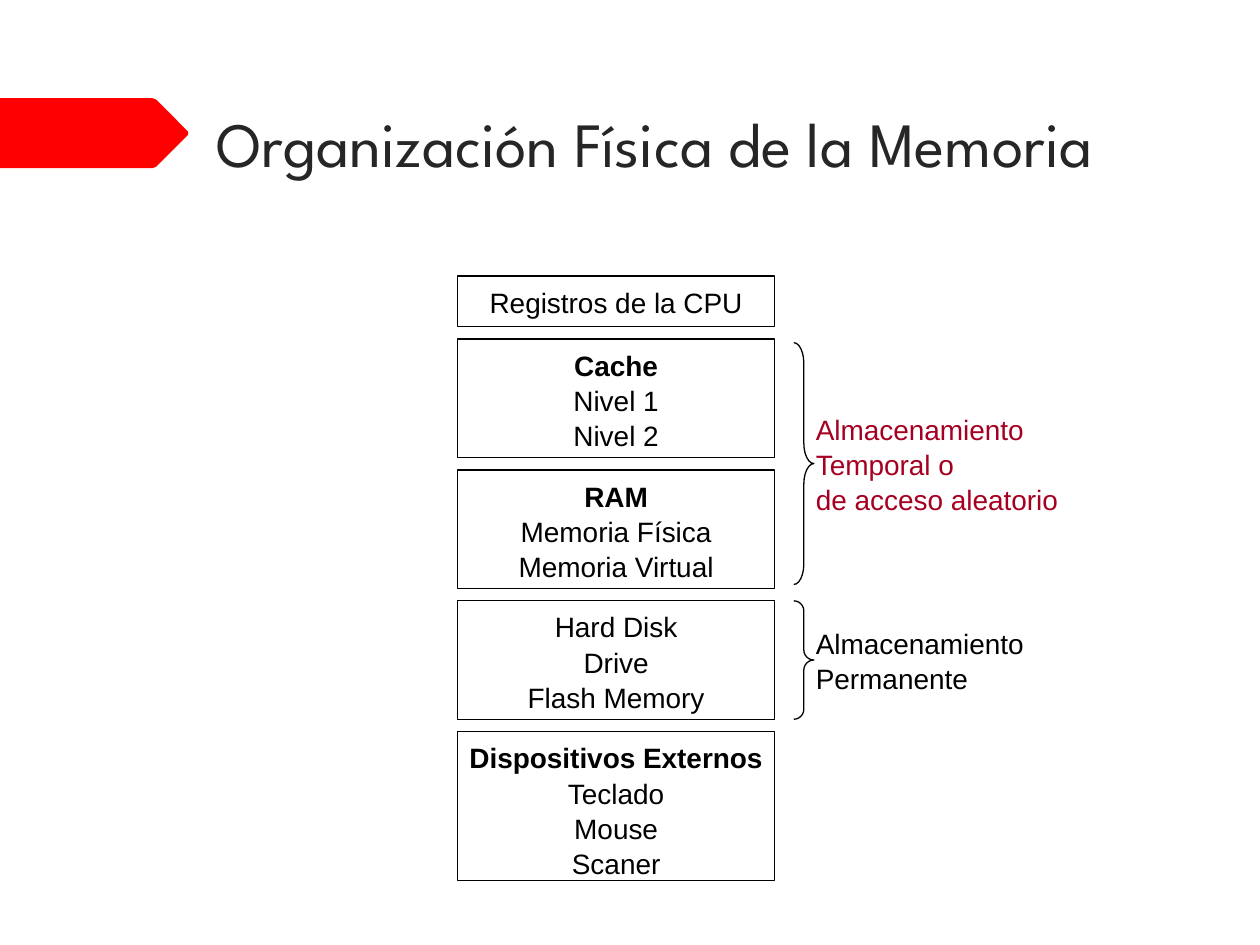
from pptx import Presentation
from pptx.dml.color import RGBColor
from pptx.enum.shapes import MSO_SHAPE
from pptx.enum.text import MSO_ANCHOR, PP_ALIGN
from pptx.util import Inches, Pt

RECTANGLE, BRACE = MSO_SHAPE.RECTANGLE, MSO_SHAPE.RIGHT_BRACE
TOP, MIDDLE = MSO_ANCHOR.TOP, MSO_ANCHOR.MIDDLE
LEFT, CENTER = PP_ALIGN.LEFT, PP_ALIGN.CENTER

SLIDE_WIDTH, SLIDE_HEIGHT = Inches(10), Inches(7.5)
BLACK, RED, CRIMSON, CHARCOAL = "000000", "FF0000", "A50021", "262626"

STACK_LEFT, STACK_TOP, STACK_WIDTH, STACK_GAP = 36.3, 29.2, 25.2, 1.33
BRACE_LEFT, BRACE_WIDTH = 63, 1.6
LABEL_LEFT, LABEL_WIDTH = 64.75, 25

LEVELS = [
    (5.33, False, ["Registros de la CPU"]),
    (12.53, True, ["Cache", "Nivel 1", "Nivel 2"]),
    (12.53, True, ["RAM", "Memoria Física", "Memoria Virtual"]),
    (12.53, False, ["Hard Disk", "Drive", "Flash Memory"]),
    (15.73, True, ["Dispositivos Externos", "Teclado", "Mouse", "Scaner"]),
]

GROUPS = [
    (1, 2, 0.4, 1.02, CRIMSON, ["Almacenamiento", "Temporal o", "de acceso aleatorio"]),
    (3, 3, 0, 0.5, BLACK, ["Almacenamiento", "Permanente"]),
]


def color(hex_string):
    return RGBColor.from_string(hex_string)


def across(percent):
    return round(SLIDE_WIDTH * percent / 100)


def down(percent):
    return round(SLIDE_HEIGHT * percent / 100)


def area(left, top, width, height):
    return across(left), down(top), across(width), down(height)


def write(shape, lines, size, font, hex_string, align, anchor, inset,
          bold_first=False, spacing=1.05):
    text_frame = shape.text_frame
    text_frame.text = "\n".join(lines)
    text_frame.word_wrap = False
    text_frame.vertical_anchor = anchor
    text_frame.margin_left = text_frame.margin_right = Inches(inset)
    text_frame.margin_top = text_frame.margin_bottom = Inches(inset)
    for index, paragraph in enumerate(text_frame.paragraphs):
        paragraph.alignment = align
        paragraph.line_spacing = spacing
        for run in paragraph.runs:
            run.font.size = Pt(size)
            run.font.name = font
            run.font.bold = bold_first and index == 0
            run.font.color.rgb = color(hex_string)


def add_outline(slide, kind, place):
    shape = slide.shapes.add_shape(kind, *place)
    shape.shadow.inherit = False
    shape.fill.background()
    shape.line.color.rgb = color(BLACK)
    shape.line.width = Pt(0.75)
    return shape


def add_title(slide, text):
    title = slide.shapes.add_textbox(*area(16.2, 8.67, 79.3, 12.8))
    write(title, [text], 36, "League Spartan", CHARCOAL, LEFT, MIDDLE, 0.1, spacing=1)


def add_banner(slide):
    points = [(0, 10.4), (12.1, 10.4), (12.4, 10.55), (14.9, 13.9),
              (14.95, 14.1), (14.9, 14.3), (12.4, 17.65), (12.1, 17.8), (0, 17.8)]
    corners = [(across(x), down(y)) for x, y in points]
    builder = slide.shapes.build_freeform(*corners[0])
    builder.add_line_segments(corners[1:], close=True)
    banner = builder.convert_to_shape()
    banner.shadow.inherit = False
    banner.fill.solid()
    banner.fill.fore_color.rgb = color(RED)
    banner.line.fill.background()


def add_stack(slide):
    spans = []
    top = STACK_TOP
    for height, bold_first, lines in LEVELS:
        box = add_outline(slide, RECTANGLE, area(STACK_LEFT, top, STACK_WIDTH, height))
        write(box, lines, 16, "Arial", BLACK, CENTER, TOP, 0.06, bold_first)
        spans.append((top, top + height))
        top += height + STACK_GAP
    return spans


def add_group(slide, top, bottom, curve, hex_string, lines):
    height = bottom - top
    brace = add_outline(slide, BRACE, area(BRACE_LEFT, top, BRACE_WIDTH, height))
    brace.adjustments[0] = curve
    label = slide.shapes.add_textbox(*area(LABEL_LEFT, top, LABEL_WIDTH, height))
    write(label, lines, 16, "Arial", hex_string, LEFT, MIDDLE, 0)


def main():
    presentation = Presentation()
    presentation.slide_width = SLIDE_WIDTH
    presentation.slide_height = SLIDE_HEIGHT
    slide = presentation.slides.add_slide(presentation.slide_layouts[6])
    add_banner(slide)
    add_title(slide, "Organización Física de la Memoria")
    spans = add_stack(slide)
    for first, last, inset, curve, hex_string, lines in GROUPS:
        top, bottom = spans[first][0] + inset, spans[last][1] - inset
        add_group(slide, top, bottom, curve, hex_string, lines)
    presentation.save("out.pptx")


if __name__ == "__main__":
    main()
